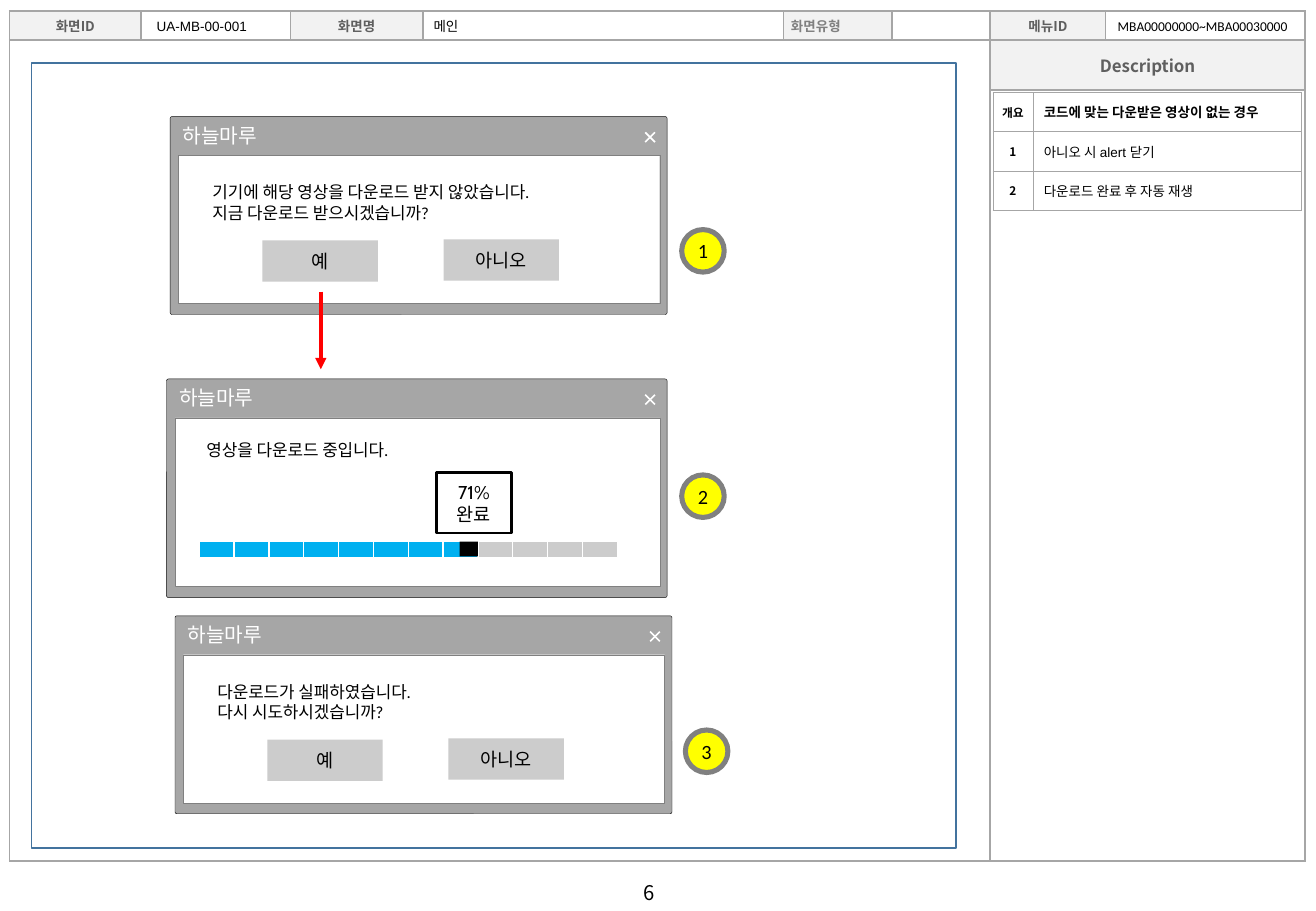
from collections import namedtuple

from lxml import etree
from pptx import Presentation
from pptx import util as u
from pptx.dml.color import RGBColor
from pptx.enum import shapes, text
from pptx.oxml import ns

Box = namedtuple("Box", "left top width height")

BLACK = RGBColor(0x00, 0x00, 0x00)
WHITE = RGBColor(0xFF, 0xFF, 0xFF)
PALE = RGBColor(0xF2, 0xF2, 0xF2)
SILVER = RGBColor(0xCC, 0xCC, 0xCC)
FRAME_GRAY = RGBColor(0xA6, 0xA6, 0xA6)
MID_GRAY = RGBColor(0x80, 0x80, 0x80)
LABEL_GRAY = RGBColor(0x5F, 0x5F, 0x5F)
EDGE = RGBColor(0x0D, 0x0D, 0x0D)
STEEL = RGBColor(0x43, 0x73, 0x9E)
SKY = RGBColor(0x00, 0xB0, 0xF0)
YELLOW = RGBColor(0xFF, 0xFF, 0x00)
RED = RGBColor(0xFF, 0x00, 0x00)

KOREAN = "Noto Sans CJK KR"
APP_NAME = "하늘마루"
KIND = shapes.MSO_AUTO_SHAPE_TYPE
CENTER = text.PP_ALIGN.CENTER
MIDDLE = text.MSO_ANCHOR.MIDDLE


def inches(*lengths):
    return [u.Inches(length) for length in lengths]


def write(frame, words, size, font, color=BLACK, bold=False, align=text.PP_ALIGN.LEFT):
    for index, line in enumerate(words.split("\n")):
        para = frame.add_paragraph() if index else frame.paragraphs[0]
        para.alignment = align
        span = para.add_run()
        span.text = line
        formats = {"size": u.Pt(size), "name": font, "bold": bold}
        for name, value in formats.items():
            setattr(span.font, name, value)
        span.font.color.rgb = color
        etree.SubElement(span.font._element, ns.qn("a:ea"), typeface=KOREAN)


def add_text(page, box, words, size, font, wrap=True):
    frame = page.shapes.add_textbox(*inches(*box)).text_frame
    frame.word_wrap = wrap
    write(frame, words, size, font)


def add_block(page, box, fill=None, line=None, weight=0.25, kind=KIND.RECTANGLE):
    shape = page.shapes.add_shape(kind, *inches(*box))
    shape.shadow.inherit = False
    if fill is None:
        shape.fill.background()
    else:
        shape.fill.solid()
        shape.fill.fore_color.rgb = fill
    if line is None:
        shape.line.fill.background()
    else:
        shape.line.color.rgb = line
        shape.line.width = u.Pt(weight)
    return shape


def add_label(shape, words, size, font):
    shape.text_frame.vertical_anchor = MIDDLE
    write(shape.text_frame, words, size, font, align=CENTER)


def add_line(page, start, end, color, weight):
    line = page.shapes.add_connector(shapes.MSO_CONNECTOR.STRAIGHT, *inches(*start, *end))
    line.line.color.rgb = color
    line.line.width = u.Pt(weight)
    etree.SubElement(line._element.spPr, ns.qn("a:effectLst"))
    return line


def add_grid(page, box, columns, rows, weight, margins):
    table = page.shapes.add_table(len(rows), len(columns), *inches(*box)).table
    table.first_row = table.horz_banding = False
    for column, width in zip(table.columns, columns):
        column.width = u.Inches(width)
    for row, height in zip(table.rows, rows):
        row.height = u.Inches(height)
    sides = ("margin_left", "margin_top", "margin_right", "margin_bottom")
    for cell in table.iter_cells():
        cell.fill.background()
        cell.vertical_anchor = MIDDLE
        for side, margin in zip(sides, margins):
            setattr(cell, side, u.Inches(margin))
        etree.SubElement(cell.text_frame.paragraphs[0]._p, ns.qn("a:endParaRPr"), sz="800")
        properties = cell._tc.get_or_add_tcPr()
        for index, side in enumerate("LRTB"):
            border = etree.Element(ns.qn(f"a:ln{side}"), w=str(u.Pt(weight)))
            paint = etree.SubElement(border, ns.qn("a:solidFill"))
            etree.SubElement(paint, ns.qn("a:srgbClr"), val=str(FRAME_GRAY))
            properties.insert(index, border)
    return table


def add_sheet(page, box):
    columns = [1.08, 1.23, 1.09, 2.97, 0.89, 0.81, 0.95, 1.64]
    table = add_grid(page, box, columns, [0.24, 0.41, 6.35], 1, [0.06, 0.04, 0.06, 0.04])
    for row in (1, 2):
        table.cell(row, 6).merge(table.cell(row, 7))
    table.cell(1, 0).merge(table.cell(2, 5))
    labels = [
        (0, 0, "화면ID", 8, LABEL_GRAY, CENTER),
        (0, 2, "화면명", 8, LABEL_GRAY, CENTER),
        (0, 4, "화면유형", 8, MID_GRAY, text.PP_ALIGN.LEFT),
        (0, 6, "메뉴ID", 8, LABEL_GRAY, CENTER),
        (1, 6, "Description", 10, LABEL_GRAY, CENTER),
    ]
    for row, column, words, size, color, align in labels:
        cell = table.cell(row, column)
        cell.fill.solid()
        cell.fill.fore_color.rgb = PALE
        write(cell.text_frame, words, size, KOREAN, color, True, align)
    add_block(page, Box(box.left + 0.18, box.top + 0.43, 7.61, 6.46), line=STEEL, weight=1)


def add_header_values(page, box):
    values = [
        (1.11, 1.19, "UA-MB-00-001", "Arial"),
        (3.39, 2.96, "메인", "Arial"),
        (9.02, 1.67, "MBA00000000~MBA00030000", "Calibri"),
    ]
    for offset, width, words, font in values:
        add_text(page, Box(box.left + offset, box.top, width, box.height), words, 8, font)


def add_descriptions(page, box):
    notes = [
        ("개요", "코드에 맞는 다운받은 영상이 없는 경우", KOREAN),
        ("1", "아니오 시 alert 닫기", "Arial"),
        ("2", "다운로드 완료 후 자동 재생", "Arial"),
    ]
    heights = [box.height / len(notes)] * len(notes)
    table = add_grid(page, box, [0.33, box.width - 0.33], heights, 0.25, [0.04] * 4)
    for row, (key, words, font) in enumerate(notes):
        write(table.cell(row, 0).text_frame, key, 7, KOREAN, bold=True, align=CENTER)
        note = table.cell(row, 1)
        note.margin_left = u.Inches(0.09)
        write(note.text_frame, words, 8, font, bold=row == 0)


def add_popup(page, box, message, message_offset):
    left, top, width, height = box
    window = add_block(page, box, FRAME_GRAY, EDGE, kind=KIND.ROUNDED_RECTANGLE)
    window.adjustments[0] = 0.01
    window.text_frame.vertical_anchor = text.MSO_ANCHOR.TOP
    write(window.text_frame, APP_NAME, 12, "Cabin", WHITE)
    add_block(page, Box(left + 0.07, top + 0.32, width - 0.13, height - 0.41), WHITE, MID_GRAY)
    near, far = left + width - 0.18, left + width - 0.1
    for start, end in ((near, far), (far, near)):
        add_line(page, (start, top + 0.13), (end, top + 0.21), WHITE, 1)
    across, down = message_offset
    add_text(page, Box(left + across, top + down, 3.52, 0.44), message, 10, "Calibri")


def add_question(page, box, message):
    add_popup(page, box, message, (0.25, 0.49))
    for words, across, down in (("예", 0.76, 1.02), ("아니오", 2.25, 1.01)):
        button = add_block(page, Box(box.left + across, box.top + down, 0.95, 0.34), SILVER)
        add_label(button, words, 11, "Cabin")


def add_progress(page, box):
    balloon = add_block(page, Box(box.left + 1.95, box.top, 0.62, 0.5), WHITE, BLACK, 1.5)
    add_label(balloon, "71% 완료", 11, "Cabin")
    count, done = 12, 8
    step = box.width / count
    bar_top = box.top + 0.57
    for index in range(count):
        color = SKY if index < done else SILVER
        add_block(page, Box(box.left + index * step, bar_top, step, 0.13), color, WHITE, 0.75)
    add_block(page, Box(box.left + done * step - 0.15, bar_top, 0.15, 0.12), BLACK)


def add_marker(page, box, number):
    marker = add_block(page, box, YELLOW, MID_GRAY, 3, KIND.OVAL)
    frame = marker.text_frame
    for side in ("margin_left", "margin_top", "margin_right", "margin_bottom"):
        setattr(frame, side, 0)
    add_label(marker, str(number), 12, "Calibri")


def main():
    deck = Presentation()
    deck.slide_width, deck.slide_height = inches(10.83, 7.5)
    page = deck.slides.add_slide(deck.slide_layouts[6])
    add_text(page, Box(5.2, 7.2, 0.42, 0.3), "6", 12, KOREAN, wrap=False)
    add_sheet(page, Box(0.08, 0.09, 10.65, 7))
    add_descriptions(page, Box(8.17, 0.76, 2.54, 0.97))
    add_header_values(page, Box(0.08, 0.1, 10.65, 0.24))
    add_question(page, Box(1.4, 0.96, 4.09, 1.63),
                 "기기에 해당 영상을 다운로드 받지 않았습니다.\n지금 다운로드 받으시겠습니까?")
    add_popup(page, Box(1.37, 3.12, 4.12, 1.8), "영상을 다운로드 중입니다.", (0.23, 0.45))
    arrow = add_line(page, (2.64, 2.4), (2.64, 3.04), RED, 2.25)
    etree.SubElement(arrow.line._get_or_add_ln(), ns.qn("a:tailEnd"), type="triangle")
    add_progress(page, Box(1.64, 3.89, 3.44, 0.7))
    add_question(page, Box(1.44, 5.07, 4.09, 1.63),
                 "다운로드가 실패하였습니다.\n다시 시도하시겠습니까?")
    for number, (left, top) in enumerate([(5.61, 1.89), (5.61, 3.91), (5.64, 6.01)], 1):
        add_marker(page, Box(left, top, 0.35, 0.35), number)
    deck.save("out.pptx")


if __name__ == "__main__":
    main()
